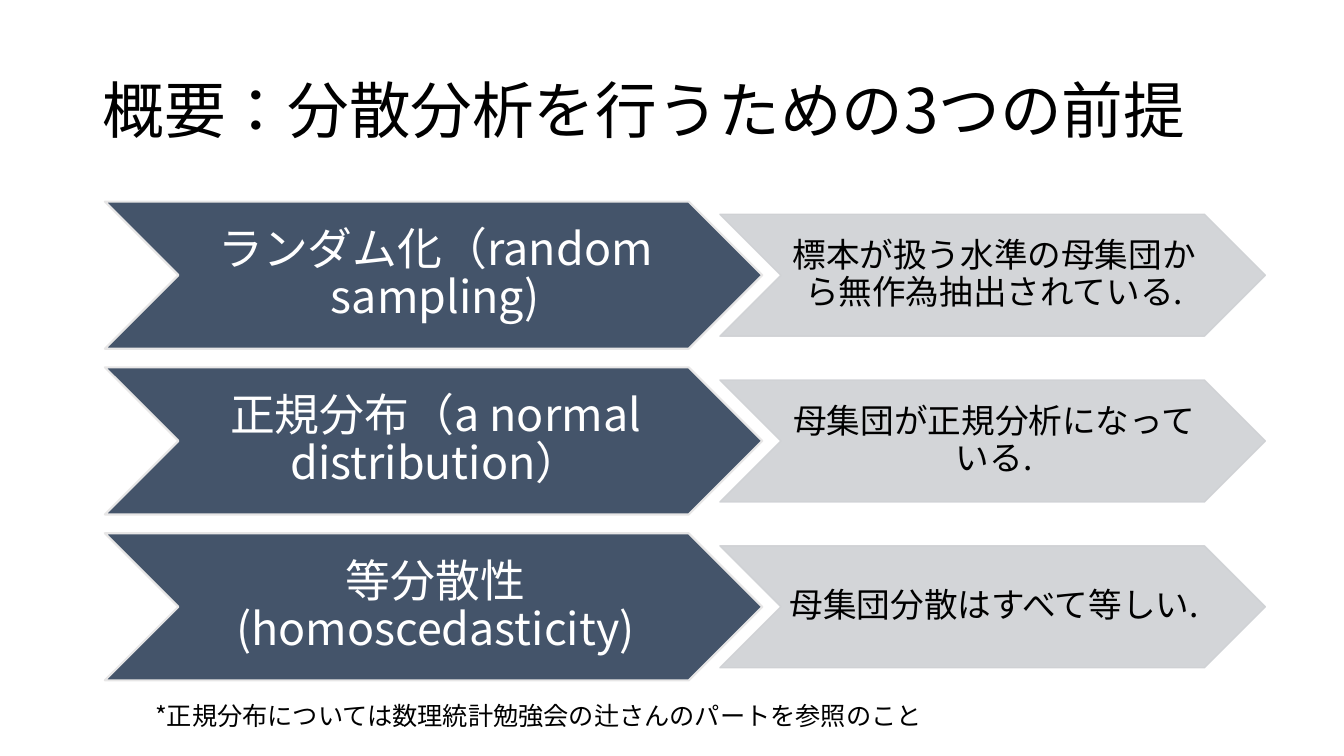
from lxml import etree
from pptx import Presentation
from pptx.dml.color import RGBColor
from pptx.enum.lang import MSO_LANGUAGE_ID as Language
from pptx.enum.shapes import MSO_SHAPE as Shape
from pptx.enum.text import MSO_ANCHOR as Anchor, PP_ALIGN as Align
from pptx.oxml.ns import qn
from pptx.util import Inches, Pt

FONT = "Noto Sans CJK JP"
NAVY, GRAY, PALE = "44546A", "CFD1D4", "E7E6E6"
WHITE, BLACK = "FFFFFF", "000000"
FIRST_MIDDLE, ROW_STEP = 2.73, 1.645
ASSUMPTIONS = [
    ("ランダム化（random sampling)", "標本が扱う水準の母集団から無作為抽出されている."),
    ("正規分布（a normal distribution）", "母集団が正規分析になっている."),
    ("等分散性(homoscedasticity)", "母集団分散はすべて等しい."),
]


def rgb(color):
    """Turn a hex string into a colour."""
    return RGBColor.from_string(color)


def write_text(text_frame, text, size, color, align=Align.LEFT, spacing=None):
    """Fill a text frame with one formatted paragraph."""
    text_frame.text = text
    paragraph = text_frame.paragraphs[0]
    paragraph.alignment = align
    paragraph.line_spacing = spacing
    for run in paragraph.runs:
        font = run.font
        font.name, font.size = FONT, Pt(size)
        font.color.rgb = rgb(color)
        font.language_id = Language.JAPANESE
        latin = font._element.find(qn("a:latin"))
        east_asian = etree.Element(qn("a:ea"), typeface=FONT)
        latin.addnext(east_asian)


def set_opacity(fill, percent):
    """Give a solid fill an opacity."""
    color = fill._xPr.find(qn("a:solidFill"))[0]
    etree.SubElement(color, qn("a:alpha"), val=str(percent * 1000))


def add_text(slide, left, top, width, height, text, size, wrap=True, spacing=None):
    """Add a text box with black text."""
    box = slide.shapes.add_textbox(Inches(left), Inches(top), Inches(width), Inches(height))
    box.text_frame.word_wrap = wrap
    write_text(box.text_frame, text, size, BLACK, spacing=spacing)
    return box


def add_chevron(slide, left, middle, width, height, text, size, inset,
                fill, line, line_width, color, opacity=100):
    """Add a chevron with centred text, placed by its vertical middle."""
    chevron = slide.shapes.add_shape(Shape.CHEVRON, Inches(left), Inches(middle - height / 2),
                                     Inches(width), Inches(height))
    chevron.shadow.inherit = False
    chevron.fill.solid()
    chevron.fill.fore_color.rgb = rgb(fill)
    chevron.line.color.rgb = rgb(line)
    chevron.line.width = Pt(line_width)
    if opacity < 100:
        set_opacity(chevron.fill, opacity)
        set_opacity(chevron.line.fill, opacity)
    text_frame = chevron.text_frame
    text_frame.word_wrap = True
    text_frame.vertical_anchor = Anchor.MIDDLE
    text_frame.margin_left, text_frame.margin_right = Inches(inset), 0
    text_frame.margin_top = text_frame.margin_bottom = Inches(0.02)
    write_text(text_frame, text, size, color, Align.CENTER, 0.9)


def main():
    """Build the slide and save it."""
    presentation = Presentation()
    presentation.slide_width, presentation.slide_height = Inches(13.33), Inches(7.5)
    slide = presentation.slides.add_slide(presentation.slide_layouts[6])
    title = add_text(slide, 0.92, 0.4, 11.5, 1.45, "概要：分散分析を行うための3つの前提", 44, spacing=0.9)
    title.text_frame.vertical_anchor = Anchor.MIDDLE
    for row, (name, meaning) in enumerate(ASSUMPTIONS):
        middle = FIRST_MIDDLE + row * ROW_STEP
        add_chevron(slide, 1.04, middle, 6.52, 1.46, name, 32, 0.04, NAVY, PALE, 1.5, WHITE)
        add_chevron(slide, 7.14, middle, 5.41, 1.21, meaning, 24, 0.03, GRAY, GRAY, 1, BLACK, 90)
    add_text(slide, 1.44, 6.9, 7.9, 0.4,
             "*正規分布については数理統計勉強会の辻さんのパートを参照のこと", 18, wrap=False)
    presentation.save("out.pptx")


if __name__ == "__main__":
    main()
